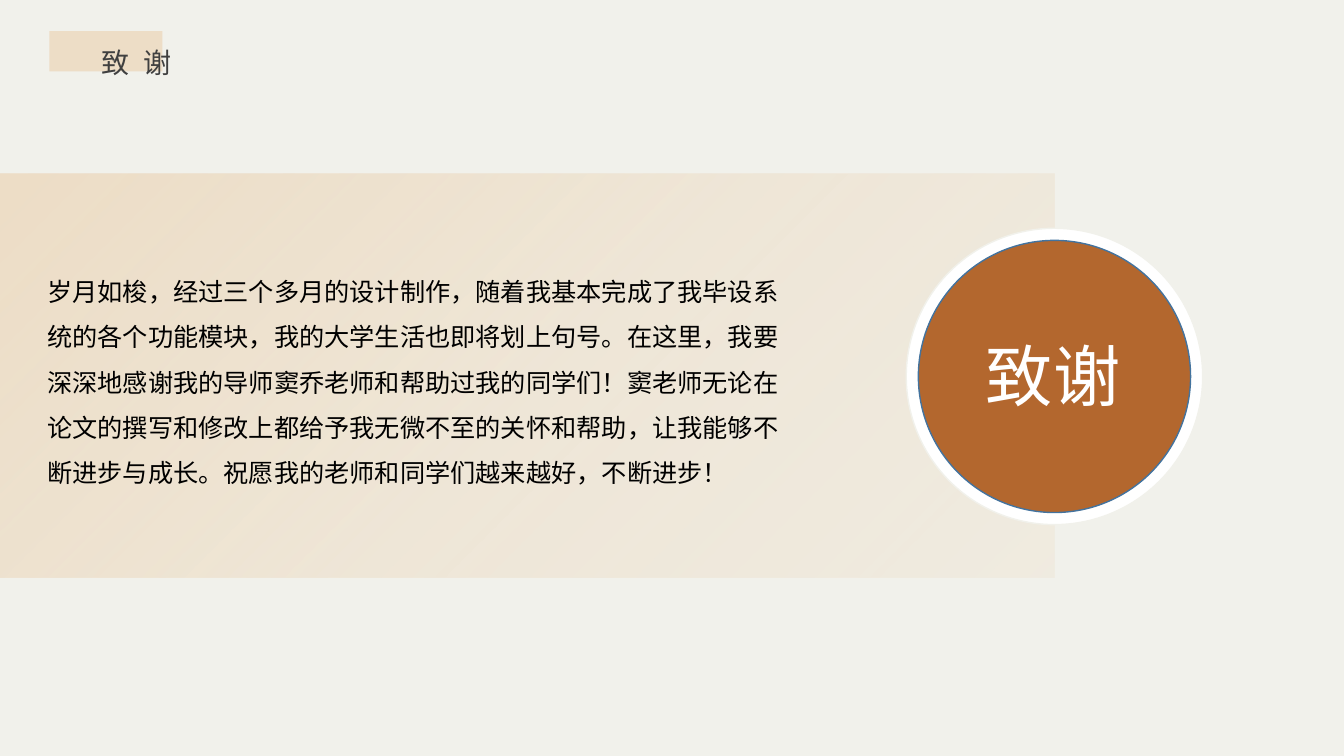
from copy import deepcopy

from lxml.etree import SubElement
from pptx import Presentation
from pptx.dml.color import RGBColor as RGB
from pptx.enum.shapes import MSO_SHAPE as SHAPE
from pptx.enum.text import MSO_AUTO_SIZE as FIT
from pptx.oxml.ns import qn
from pptx.util import Inches, Pt

W, H = Inches(13.33), Inches(7.5)
FONT = "Noto Sans CJK SC"
COLORS = {
    "paper": "F1F1EB", "sand": "EDDDC6", "rust": "B3672E", "rim": "43739E",
    "white": "FFFFFF", "grey": "404040", "black": "000000",
}
THANKS = (
    "岁月如梭，经过三个多月的设计制作，随着我基本完成了我毕设系统的各个功能模块，"
    "我的大学生活也即将划上句号。在这里，我要深深地感谢我的导师窦乔老师和帮助过我的同学们！"
    "窦老师无论在论文的撰写和修改上都给予我无微不至的关怀和帮助，让我能够不断进步与成长。"
    "祝愿我的老师和同学们越来越好，不断进步！"
)


def color(name):
    return RGB.from_string(COLORS[name])


def place(x, y, w, h):
    """Turn percentages of the slide into left, top, width and height."""
    return [int(share * side / 100) for share, side in ((x, W), (y, H), (w, W), (h, H))]


def add_shape(s, kind, box, fill, line=None):
    sp = s.shapes.add_shape(kind, *box)
    sp.shadow.inherit = False
    sp.fill.solid()
    sp.fill.fore_color.rgb = color(fill)
    if line:
        sp.line.color.rgb = color(line)
        sp.line.width = Pt(1)
    else:
        sp.line.fill.background()
    return sp


def add_disc(s, diameter, fill, line):
    """Add a circle centred on the right end of the band."""
    d = int(H * diameter / 100)
    x, y, _, _ = place(78.46, 49.8, 0, 0)
    return add_shape(s, SHAPE.OVAL, (x - d // 2, y - d // 2, d, d), fill, line)


def fade(sp, name, stops, angle):
    """Fill a shape with one colour at several (position, opacity) stops."""
    sp.fill.gradient()
    sp.fill.gradient_angle = 360 - angle
    for stop in sp.fill.gradient_stops:
        stop.color.rgb = color(name)
    gs_list = sp._element.spPr.find(qn("a:gradFill")).find(qn("a:gsLst"))
    base = deepcopy(gs_list[0])
    for gs in list(gs_list):
        gs_list.remove(gs)
    for position, opacity in stops:
        gs = deepcopy(base)
        gs.set("pos", str(position * 1000))
        SubElement(gs[0], qn("a:alpha"), val=str(opacity * 1000))
        gs_list.append(gs)


def add_text(s, text, box, size, ink, leading=1.0, tracking=0):
    tb = s.shapes.add_textbox(*box)
    tf = tb.text_frame
    tf.word_wrap = True
    tf.auto_size = FIT.SHAPE_TO_FIT_TEXT
    p = tf.paragraphs[0]
    p.line_spacing = leading
    r = p.add_run()
    r.text = text
    r.font.size = Pt(size)
    r.font.name = FONT
    r.font.color.rgb = color(ink)
    rpr = r.font._element
    SubElement(rpr, qn("a:ea"), typeface=FONT)
    if tracking:
        rpr.set("spc", str(tracking * 100))
    return tb


def main():
    prs = Presentation()
    prs.slide_width, prs.slide_height = W, H
    s = prs.slides.add_slide(prs.slide_layouts[6])
    s.background.fill.solid()
    s.background.fill.fore_color.rgb = color("paper")

    band = add_shape(s, SHAPE.RECTANGLE, place(0, 22.93, 78.46, 53.47), "sand")
    fade(band, "sand", [(0, 100), (50, 54), (100, 27)], 45)
    add_disc(s, 39.2, "white", "paper")
    add_shape(s, SHAPE.RECTANGLE, place(3.68, 4.13, 8.4, 5.33), "sand")
    add_text(s, "致谢", place(6.83, 3.2, 26.26, 7.33), 20, "grey", leading=1.5, tracking=10)
    add_text(s, THANKS, place(2.78, 33.87, 56.94, 31.6), 18, "black", leading=1.5)
    add_disc(s, 36, "rust", "rim")
    add_text(s, "致谢", place(72.62, 43.6, 12.53, 12.13), 48, "white")
    prs.save("out.pptx")


if __name__ == "__main__":
    main()
